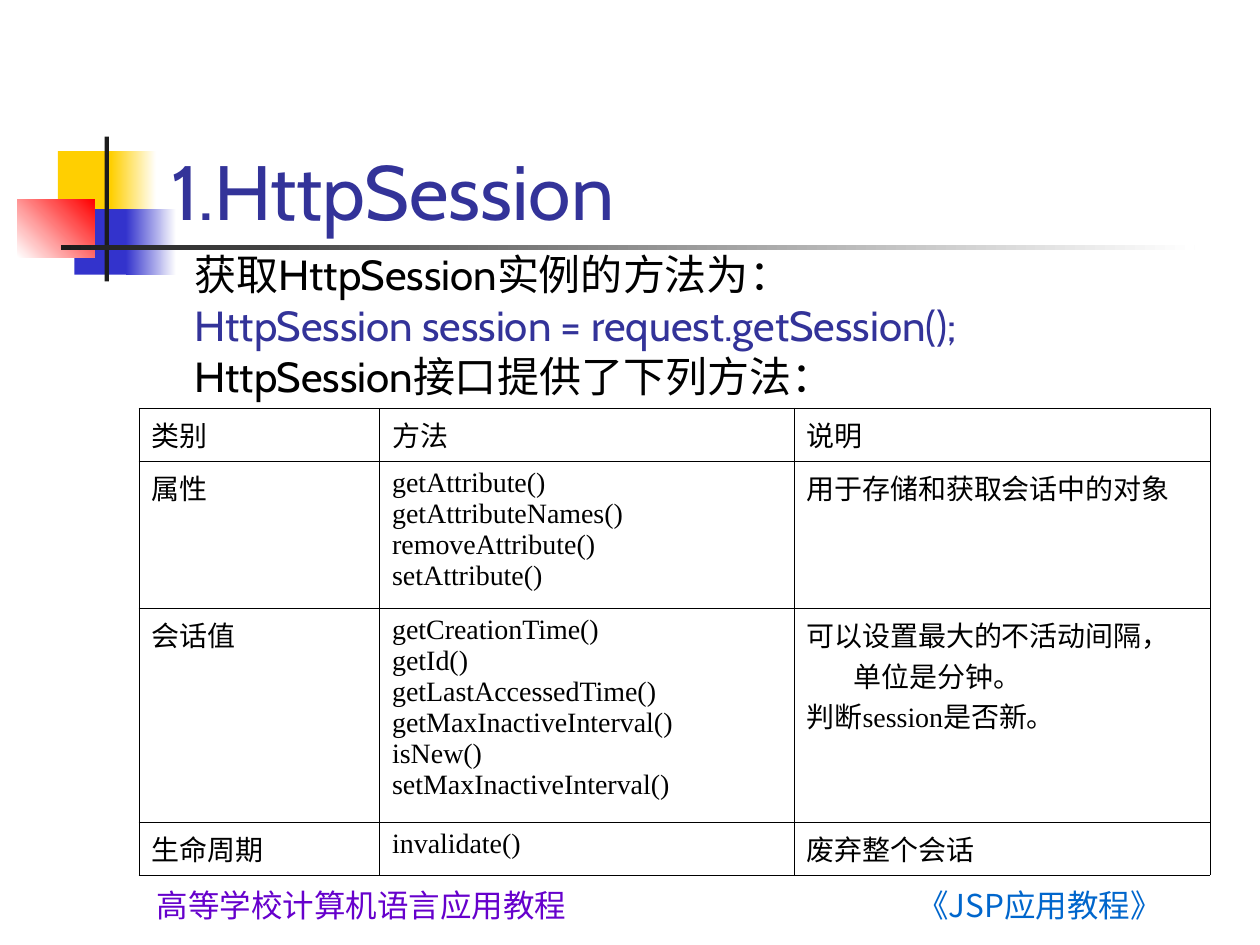
from lxml import etree
from pptx import Presentation
from pptx.dml.color import RGBColor as RGB
from pptx.enum.shapes import MSO_SHAPE as Shape
from pptx.enum.text import MSO_ANCHOR as Anchor, PP_ALIGN as Align
from pptx.oxml.ns import qn
from pptx.util import Pt

BLACK = RGB(0x00, 0x00, 0x00)
WHITE = RGB(0xFF, 0xFF, 0xFF)
GOLD = RGB(0xFF, 0xCF, 0x01)
BLUE = RGB(0x33, 0x33, 0xCC)
RED = RGB(0xFF, 0x00, 0x00)
DARK = RGB(0x1C, 0x1C, 0x1C)
NAVY = RGB(0x33, 0x33, 0x99)
SKY = RGB(0x00, 0x66, 0xCC)
PURPLE = RGB(0x66, 0x00, 0xCC)

# Left, top, width, height, colours (two make a gradient), angle
DECOR = [
    (33.1, 86.4, 34.6, 37.4, (GOLD,), 0),
    (63.4, 86.4, 25.9, 37.4, (GOLD, WHITE), 0),
    (42.5, 119.5, 33.1, 37.4, (BLUE,), 0),
    (72, 119.5, 28.8, 37.4, (BLUE, WHITE), 0),
    (10, 113.8, 44, 33.1, (WHITE, RED), 45),
    (59.8, 78, 2.4, 82.8, (DARK,), 0),
    (34.7, 140.2, 648, 2.4, (DARK, WHITE), 0),
]
BODY = [
    ("获取HttpSession实例的方法为：", BLACK),
    ("HttpSession session = request.getSession();", NAVY),
    ("HttpSession接口提供了下列方法：", BLACK),
]
COLS = [137.5, 236.9, 237.6]
ROWS = [30.2, 81, 117.8, 30.2]
CELLS = [
    ["类别", "方法", "说明"],
    ["属性",
     "getAttribute()\ngetAttributeNames()\nremoveAttribute()\nsetAttribute()",
     "用于存储和获取会话中的对象"],
    ["会话值",
     "getCreationTime()\ngetId()\ngetLastAccessedTime()\n"
     "getMaxInactiveInterval()\nisNew()\nsetMaxInactiveInterval()",
     "可以设置最大的不活动间隔，单位是分钟。\n判断session是否新。"],
    ["生命周期", "invalidate()", "废弃整个会话"],
]


class Deck:
    sans = "Cabin"
    serif = "Times New Roman"
    cjk = "Noto Sans CJK SC"

    def __init__(self, wide, high):
        self.prs = Presentation()
        self.prs.slide_width, self.prs.slide_height = Pt(wide), Pt(high)
        self.slide = self.prs.slides.add_slide(self.prs.slide_layouts[6])

    def block(self, x, y, w, h, tones, angle):
        box = self.slide.shapes.add_shape(
            Shape.RECTANGLE, Pt(x), Pt(y), Pt(w), Pt(h))
        box.shadow.inherit = False
        box.line.fill.background()
        if len(tones) == 1:
            box.fill.solid()
            box.fill.fore_color.rgb = tones[0]
            return
        box.fill.gradient()
        box.fill.gradient_angle = angle
        for stop, tone in zip(box.fill.gradient_stops, tones):
            stop.color.rgb = tone

    def style(self, para, face, size, color):
        font = para.font
        font.name, font.size = face, Pt(size)
        font.color.rgb = color

    def indent(self, para, left, first=0):
        props = para._p.get_or_add_pPr()
        props.set("marL", str(Pt(left)))
        props.set("indent", str(Pt(first)))

    def text(self, x, y, w, h, lines, face, size, wrap=True,
             anchor=Anchor.TOP, left=0, **look):
        frame = self.slide.shapes.add_textbox(
            Pt(x), Pt(y), Pt(w), Pt(h)).text_frame
        frame.word_wrap, frame.vertical_anchor = wrap, anchor
        frame.text = "\n".join(line for line, _ in lines)
        for para, (_, color) in zip(frame.paragraphs, lines):
            self.style(para, face, size, color)
            self.indent(para, left)
            for name, value in look.items():
                setattr(para, name, value)

    def border(self, cell, width):
        props = cell._tc.get_or_add_tcPr()
        for side in ("lnL", "lnR", "lnT", "lnB"):
            line = etree.SubElement(props, qn("a:" + side), w=str(Pt(width)))
            fill = etree.SubElement(line, qn("a:solidFill"))
            etree.SubElement(fill, qn("a:srgbClr"), val=str(BLACK))

    def table(self, x, y, cols, rows, cells):
        grid = self.slide.shapes.add_table(
            len(rows), len(cols), Pt(x), Pt(y),
            Pt(sum(cols)), Pt(sum(rows))).table
        grid.first_row = grid.horz_banding = False
        for col, width in zip(grid.columns, cols):
            col.width = Pt(width)
        for row, high, texts in zip(grid.rows, rows, cells):
            row.height = Pt(high)
            for cell, words in zip(row.cells, texts):
                cell.text = words
                self.border(cell, 0.45)
                cell.fill.background()
                for para in cell.text_frame.paragraphs:
                    self.style(para, self.serif, 16, BLACK)
                    self.indent(para, 27, -27)


def main():
    deck = Deck(720, 540)

    # Coloured blocks and rules
    for part in DECOR:
        deck.block(*part)

    # Footer
    deck.text(468, 502.6, 252, 20.2, [("《JSP应用教程》", SKY)],
              deck.cjk, 18, wrap=False, alignment=Align.CENTER)
    deck.text(25.2, 502.6, 362.9, 37.4,
              [("高等学校计算机语言应用教程", PURPLE)],
              deck.cjk, 18, wrap=False, alignment=Align.CENTER)

    # Title and body
    deck.text(90.7, 48.2, 613.4, 90, [("1.HttpSession", NAVY)],
              deck.sans, 44, anchor=Anchor.BOTTOM)
    deck.text(71.3, 144, 612, 355, BODY, deck.sans, 24, left=33,
              line_spacing=0.8, space_before=Pt(6))

    # Method table
    deck.table(79.4, 233.3, COLS, ROWS, CELLS)

    deck.prs.save("out.pptx")


if __name__ == "__main__":
    main()
